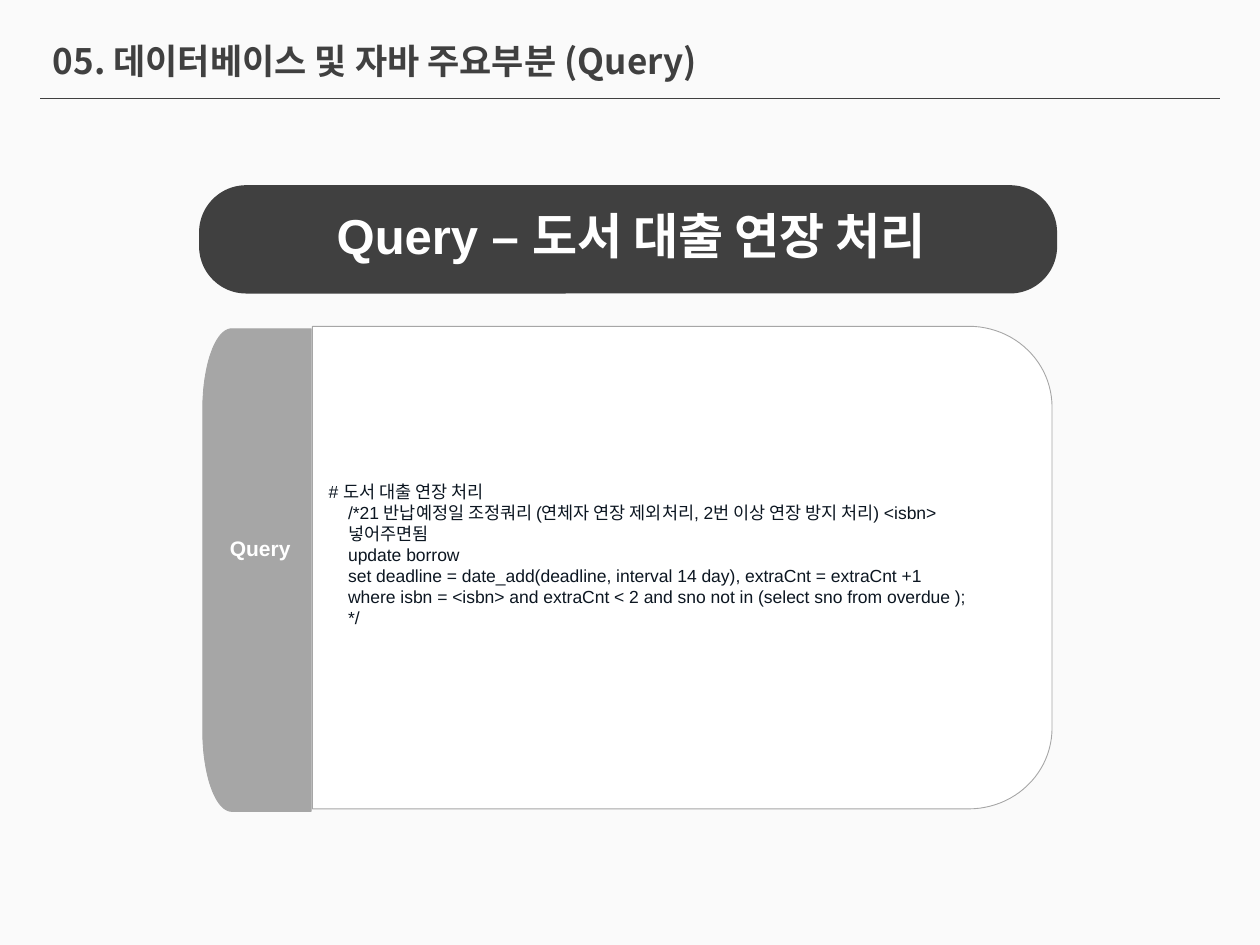
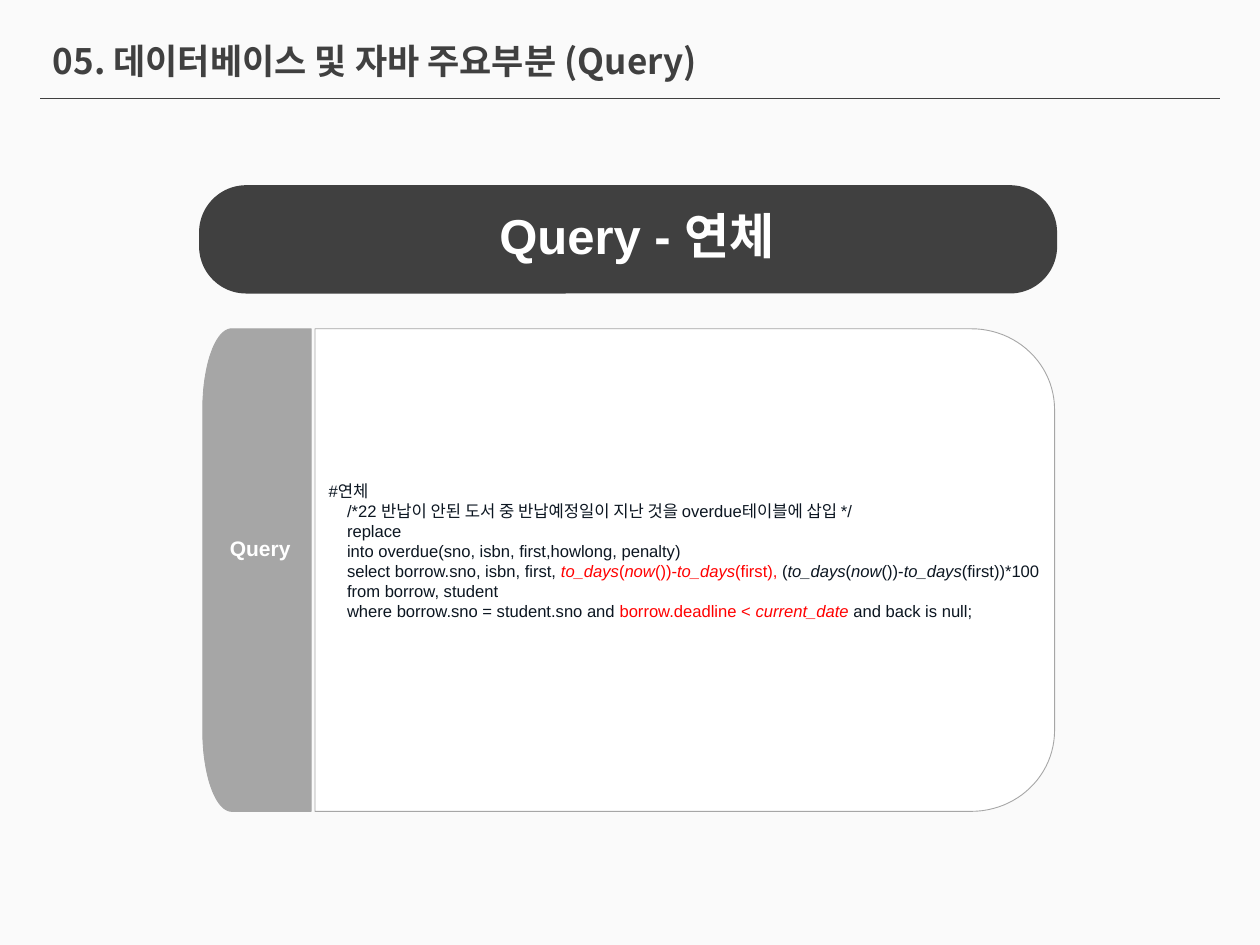
from math import cos, pi, sin

from pptx import Presentation
from pptx.dml.color import RGBColor
from pptx.enum.shapes import MSO_CONNECTOR as Connector, MSO_SHAPE as Shape
from pptx.enum.text import MSO_ANCHOR as Anchor, PP_ALIGN as Align
from pptx.oxml.ns import qn
from pptx.util import Inches, Pt

WIDTH, HEIGHT = 10, 7.5
PAPER, DARK, GRAY, WHITE, INK, RED = "FAFAFA", "404040", "A6A6A6", "FFFFFF", "0C1621", "FF0000"
LATIN, HANGUL = "Arial", "Noto Sans CJK KR"
SECTION = "05. 데이터베이스 및 자바 주요부분 (Query)"
TAB_LABEL = "Query"
MARGIN, RULE_Y = 0.32, 0.78
TAB_LEFT, TAB_TOP, TAB_WIDTH, PANEL_HEIGHT = 1.61, 2.61, 0.86, 3.83
CORNER_HEIGHT, TAB_CORNER, PANEL_CORNER = 0.64, 0.23, 0.66
PANEL_WIDTH, CODE_LEFT, CODE_TOP = 5.87, 2.51, 3.77
ARC_STEPS = 24

PLAIN, ITALIC, ALERT, ALERT_ITALIC = (INK, False), (INK, True), (RED, False), (RED, True)


def days_since(plain, italic, tail):
    """Return the runs of the to_days difference, ending with tail."""
    return [("to_days", italic), ("(", plain), ("now", italic), ("())-", plain),
            ("to_days", italic), (tail, plain)]


QUERIES = [
    {
        "heading": "Query – 도서 대출 연장 처리 ",
        "panel": (2.48, 2.59), "size": 10, "code_width": 6.49,
        "code": [
            "# 도서 대출 연장 처리",
            "/*21 반납예정일 조정쿼리 (연체자 연장 제외처리, 2번 이상 연장 방지 처리) <isbn>",
            "넣어주면됨",
            "update borrow",
            "set deadline = date_add(deadline, interval 14 day), extraCnt = extraCnt +1",
            "where isbn = <isbn> and extraCnt < 2 and sno not in (select sno from overdue );",
            "*/",
        ],
    },
    {
        "heading": "Query - 연체",
        "panel": (2.5, 2.61), "size": 9.5, "code_width": 6.8,
        "code": [
            "#연체",
            "/*22 반납이 안된 도서 중 반납예정일이 지난 것을 overdue테이블에 삽입 */",
            "replace",
            "into overdue(sno, isbn, first,howlong, penalty)",
            [("select borrow.sno, isbn, first, ", PLAIN),
             *days_since(ALERT, ALERT_ITALIC, "(first), "), ("(", PLAIN),
             *days_since(PLAIN, ITALIC, "(first))*100")],
            "from borrow, student",
            [("where borrow.sno = student.sno and ", PLAIN), ("borrow.deadline < ", ALERT),
             ("current_date ", ALERT_ITALIC), ("and back is null;", PLAIN)],
        ],
    },
]


def rgb(color):
    return RGBColor.from_string(color)


def paint(shape, fill, line=None):
    shape.shadow.inherit = False
    shape.fill.solid()
    shape.fill.fore_color.rgb = rgb(fill)
    if line:
        shape.line.color.rgb = rgb(line)
        shape.line.width = Pt(0.5)
    else:
        shape.line.fill.background()


def add_text(slide, box, lines, size, font=LATIN, bold=False, align=Align.LEFT,
             anchor=Anchor.TOP, wrap=True, indent=0):
    """Write each line as a paragraph; lines after the first are indented."""
    frame = slide.shapes.add_textbox(*map(Inches, box)).text_frame
    frame.word_wrap, frame.vertical_anchor = wrap, anchor
    for number, runs in enumerate(lines):
        paragraph = frame.add_paragraph() if number else frame.paragraphs[0]
        paragraph.alignment = align
        if number and indent:
            paragraph._p.get_or_add_pPr().set("marL", str(Pt(indent)))
        for text, (color, italic) in runs:
            run = paragraph.add_run()
            run.text = text
            run.font.name, run.font.size = font, Pt(size)
            run.font.bold, run.font.italic = bold, italic
            run.font.color.rgb = rgb(color)
            latin = run.font._element.find(qn("a:latin"))
            east_asian = latin.makeelement(qn("a:ea"), {"typeface": HANGUL})
            latin.addnext(east_asian)


def add_panel(slide, left, top, width, corner, fill, rounded_left=False):
    """Draw a panel whose two corners on one side are elliptical."""
    flat, direction = (left + width, -1) if rounded_left else (left, 1)
    angles = [pi / 2 * step / ARC_STEPS for step in range(ARC_STEPS + 1)]
    upper = [(width - corner * (1 - sin(a)), CORNER_HEIGHT * (1 - cos(a))) for a in angles]
    lower = [(x, PANEL_HEIGHT - y) for x, y in reversed(upper)]
    outline = [(Inches(flat + direction * x), Inches(top + y))
               for x, y in [(0, 0), *upper, *lower, (0, PANEL_HEIGHT)]]
    builder = slide.shapes.build_freeform(*outline[0])
    builder.add_line_segments(outline[1:], close=True)
    paint(builder.convert_to_shape(), fill, GRAY)


def add_header(slide):
    slide.background.fill.solid()
    slide.background.fill.fore_color.rgb = rgb(PAPER)
    rule = slide.shapes.add_connector(Connector.STRAIGHT, *map(
        Inches, (MARGIN, RULE_Y, WIDTH - MARGIN, RULE_Y)))
    rule.line.color.rgb, rule.line.width = rgb(DARK), Pt(0.5)
    properties = rule._element.spPr
    properties.append(properties.makeelement(qn("a:effectLst"), {}))
    add_text(slide, (MARGIN, 0.26, WIDTH - 2 * MARGIN, 0.44), [[(SECTION, (DARK, False))]],
             20, HANGUL, bold=True, anchor=Anchor.MIDDLE)


def add_query(slide, query):
    add_panel(slide, TAB_LEFT, TAB_TOP, TAB_WIDTH, TAB_CORNER, GRAY, rounded_left=True)
    add_panel(slide, *query["panel"], PANEL_WIDTH, PANEL_CORNER, WHITE)
    white = (WHITE, False)
    add_text(slide, (1.72, 4.2, 0.69, 0.3), [[(TAB_LABEL, white)]], 12,
             bold=True, align=Align.CENTER, wrap=False)
    banner = slide.shapes.add_shape(Shape.ROUNDED_RECTANGLE,
                                    *map(Inches, (1.58, 1.47, 6.81, 0.86)))
    banner.adjustments[0] = 0.435
    paint(banner, DARK)
    add_text(slide, (2.04, 1.58, 6.03, 0.57), [[(query["heading"], white)]], 28,
             bold=True, align=Align.CENTER)
    code = [[(line, PLAIN)] if isinstance(line, str) else line for line in query["code"]]
    size = query["size"]
    add_text(slide, (CODE_LEFT, CODE_TOP, query["code_width"], 1.3), code, size,
             indent=size * 1.11)


def main():
    deck = Presentation()
    deck.slide_width, deck.slide_height = Inches(WIDTH), Inches(HEIGHT)
    for query in QUERIES:
        slide = deck.slides.add_slide(deck.slide_layouts[6])
        add_header(slide)
        add_query(slide, query)
    deck.save("out.pptx")


if __name__ == "__main__":
    main()
